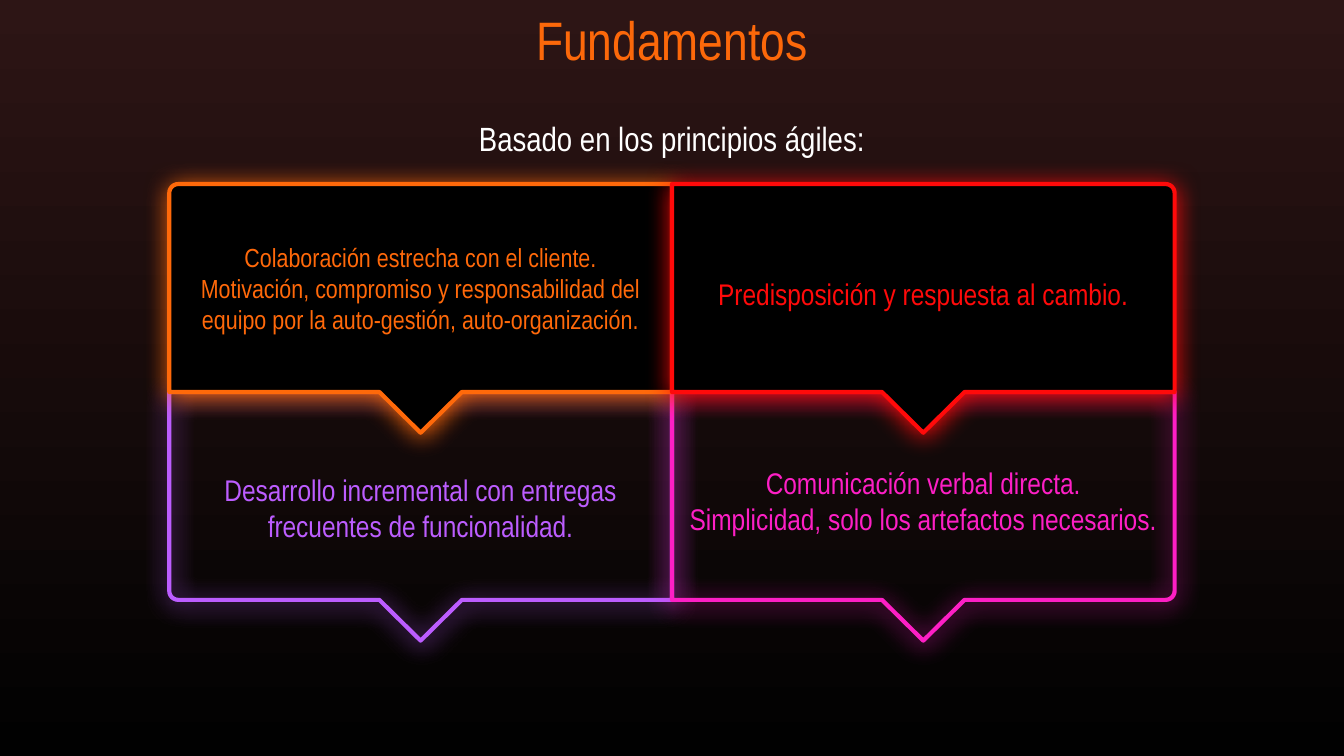
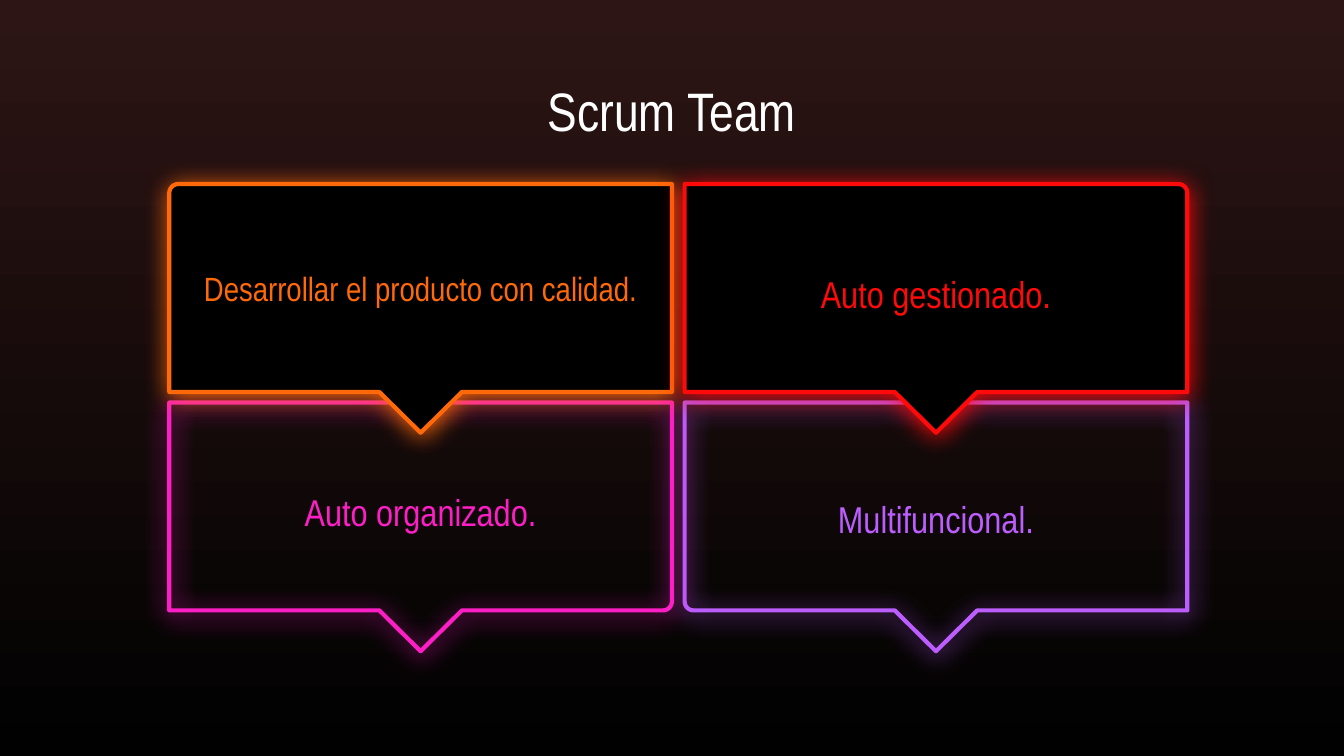
from collections import namedtuple
from math import cos, pi, sin

from lxml.etree import SubElement
from pptx import Presentation
from pptx.dml.color import RGBColor
from pptx.enum.text import MSO_ANCHOR as Anchor, PP_ALIGN as Align
from pptx.oxml.ns import qn
from pptx.util import Cm, Pt

COLOURS = {
    "top": "2D1515", "bottom": "010101", "panel": "000000", "white": "FFFFFF",
    "title": "FC680A", "orange": "FF690A", "red": "FF0A0A",
    "purple": "BC5DFF", "pink": "FD1FC5",
}
FONT = "Arial Narrow"

Box = namedtuple("Box", "left top width height")
Card = namedtuple("Card", "colour corner filled text_drop text_height")

CARDS = {
    "orange": Card("orange", "top left", True, 0, 3.53),
    "red": Card("red", "top right", True, 0.1, 2.62),
    "purple": Card("purple", "bottom left", False, 0.22, 2.69),
    "pink": Card("pink", "bottom right", False, 0.09, 2.64),
}
CARD_W, CARD_H = 9.5, 3.93
GRID_LEFT, GRID_TOP = 3.2, 3.48
POINTER_HALF, POINTER_H = 0.78, 0.77
RADIUS, ARC_STEPS = 0.17, 6


def rgb(name):
    return RGBColor.from_string(COLOURS[name])


def add_gradient_slide(deck):
    slide = deck.slides.add_slide(deck.slide_layouts[6])
    fill = slide.background.fill
    fill.gradient()
    fill.gradient_angle = 270
    for stop, name in zip(fill.gradient_stops, ("top", "bottom")):
        stop.color.rgb = rgb(name)
    return slide


def add_text(slide, box, lines, size, colour):
    frame = slide.shapes.add_textbox(*map(Cm, box)).text_frame
    frame.word_wrap = True
    frame.vertical_anchor = Anchor.MIDDLE
    frame.margin_left = frame.margin_right = Cm(0.25)
    frame.margin_top = frame.margin_bottom = Cm(0.25)
    for i, line in enumerate(lines):
        paragraph = frame.add_paragraph() if i else frame.paragraphs[0]
        paragraph.alignment = Align.CENTER
        run = paragraph.add_run()
        run.text = line
        run.font.name, run.font.size = FONT, Pt(size)
        run.font.color.rgb = rgb(colour)


def card_outline(box, rounded):
    """Points clockwise from the top left, with one rounded corner and a pointer below."""
    right, bottom = box.left + box.width, box.top + box.height
    middle = box.left + box.width / 2
    # Each corner: its position, the inward direction and the start angle of its arc.
    corners = {
        "top left": (box.left, box.top, 1, 1, pi),
        "top right": (right, box.top, -1, 1, 1.5 * pi),
        "bottom right": (right, bottom, -1, -1, 0),
        "bottom left": (box.left, bottom, 1, -1, 0.5 * pi),
    }
    points = []
    for name, (x, y, dx, dy, start) in corners.items():
        if name == "bottom left":
            points += [(middle + POINTER_HALF, bottom),
                       (middle, bottom + POINTER_H),
                       (middle - POINTER_HALF, bottom)]
        if name != rounded:
            points.append((x, y))
            continue
        for step in range(ARC_STEPS + 1):
            angle = start + pi / 2 * step / ARC_STEPS
            points.append((x + RADIUS * (dx + cos(angle)),
                           y + RADIUS * (dy + sin(angle))))
    return [(Cm(x), Cm(y)) for x, y in points]


def add_glow(shape, colour):
    """Soft shadow in the colour of the outline."""
    shape.shadow.inherit = False
    effects = shape._element.spPr.find(qn("a:effectLst"))
    shadow = SubElement(effects, qn("a:outerShdw"), blurRad=str(Pt(13.5)),
                        dist=str(Pt(1.5)), dir="5400000", algn="bl",
                        rotWithShape="0")
    tint = SubElement(shadow, qn("a:srgbClr"), val=COLOURS[colour])
    SubElement(tint, qn("a:alpha"), val="97000")


def add_card(slide, box, card, lines, size):
    first, *others = card_outline(box, card.corner)
    builder = slide.shapes.build_freeform(*first)
    builder.add_line_segments(others, close=True)
    callout = builder.convert_to_shape()
    if card.filled:
        callout.fill.solid()
        callout.fill.fore_color.rgb = rgb("panel")
    else:
        callout.fill.background()
    callout.line.width = Pt(2.25)
    callout.line.color.rgb = rgb(card.colour)
    SubElement(callout.line._ln, qn("a:round"))
    add_glow(callout, card.colour)

    text_top = box.top + (box.height - card.text_height) / 2 + card.text_drop
    text_box = Box(box.left, text_top, box.width, card.text_height)
    add_text(slide, text_box, lines, size, card.colour)


def add_card_grid(slide, gap_x, gap_y, entries):
    """Entries are (card name, column, row, size, lines), from back to front."""
    for name, column, row, size, lines in entries:
        box = Box(GRID_LEFT + column * (CARD_W + gap_x),
                  GRID_TOP + row * (CARD_H + gap_y), CARD_W, CARD_H)
        add_card(slide, box, CARDS[name], lines, size)


def add_heading(slide, top, text, size, colour):
    add_text(slide, Box(1.27, top, 22.86, 0.76), [text], size, colour)


def build_principles(deck):
    slide = add_gradient_slide(deck)
    add_card_grid(slide, 0, 0, [
        ("purple", 0, 1, 16,
         ["Desarrollo incremental con entregas frecuentes de funcionalidad."]),
        ("pink", 1, 1, 16,
         ["Comunicación verbal directa.",
          "Simplicidad, solo los artefactos necesarios."]),
        ("orange", 0, 0, 14,
         ["Colaboración estrecha con el cliente.",
          "Motivación, compromiso y responsabilidad del equipo por la "
          "auto-gestión, auto-organización."]),
        ("red", 1, 0, 16, ["Predisposición y respuesta al cambio."]),
    ])
    add_heading(slide, 2.24, "Basado en los principios ágiles:", 18, "white")
    add_heading(slide, 0.36, "Fundamentos", 29, "title")


def build_team(deck):
    slide = add_gradient_slide(deck)
    add_card_grid(slide, 0.24, 0.2, [
        ("purple", 1, 1, 20, ["Multifuncional."]),
        ("pink", 0, 1, 20, ["Auto organizado."]),
        ("orange", 0, 0, 18, ["Desarrollar el producto con calidad."]),
        ("red", 1, 0, 20, ["Auto gestionado."]),
    ])
    add_heading(slide, 1.7, "Scrum Team", 29, "white")


def main():
    deck = Presentation()
    deck.slide_width, deck.slide_height = Cm(25.4), Cm(14.29)
    build_principles(deck)
    build_team(deck)
    deck.save("out.pptx")


if __name__ == "__main__":
    main()
